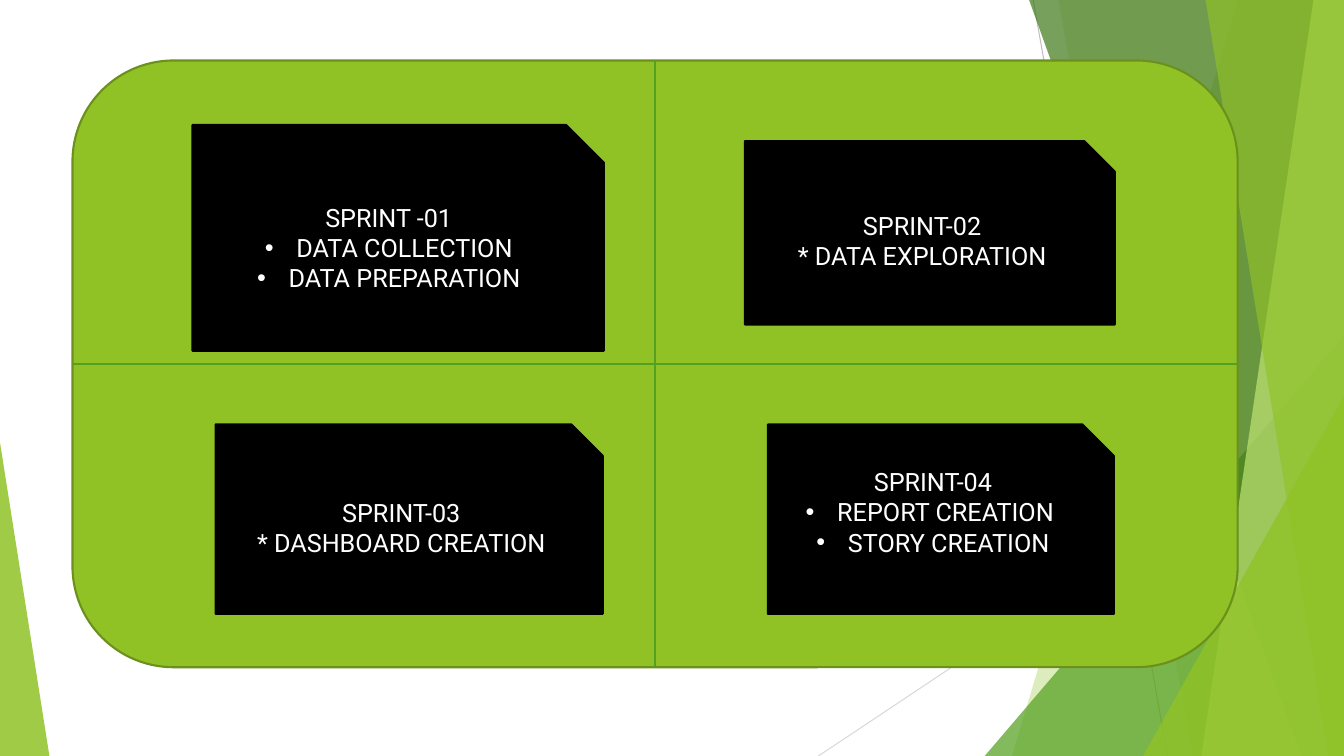
from dataclasses import dataclass

from lxml import etree
from pptx import Presentation
from pptx import util as u
from pptx.dml.color import RGBColor
from pptx.enum import shapes, text
from pptx.oxml import ns

Pt = u.Pt


@dataclass(frozen=True)
class Theme:
    lime: str = "90C226"
    pale_lime: str = "C0E474"
    green: str = "54A021"
    dark_green: str = "3F7819"
    olive: str = "6B901C"
    grey: str = "BFBFBF"
    light_grey: str = "D9D9D9"
    card: str = "000000"
    card_text: str = "FFFFFF"
    font: str = "Roboto"
    body_size: float = 18
    outline: float = 1.5
    divider: float = 1
    hairline: float = 0.75


@dataclass(frozen=True)
class Band:
    """A slanted strip from its left edge to the right edge of the slide."""
    top_x: float
    bottom_x: float
    color: str
    opacity: int


@dataclass(frozen=True)
class Wedge:
    left: float
    top: float
    width: float
    apex: float
    color: str
    opacity: int


@dataclass(frozen=True)
class Sprint:
    left: float
    top: float
    width: float
    height: float
    heading: str
    tasks: tuple[str, ...]
    bulleted: bool = False
    lift: float = 0  # extra space kept free below the text


THEME = Theme()
SLIDE_W, SLIDE_H = 960, 540
BOARD_LEFT, BOARD_TOP, BOARD_W, BOARD_H = 51.8, 43.2, 832.3, 433.4
BULLET_INDENT = 22.5

# Back to front
BACKDROP: tuple[Band | Wedge, ...] = (
    Band(884.2, 722.9, THEME.lime, 30),
    Band(756, 851.8, THEME.lime, 20),
    Wedge(703.4, 239.8, 256.6, 1, THEME.green, 72),
    Band(735.1, 929.5, THEME.dark_green, 70),
    Band(938.2, 858.2, THEME.pale_lime, 70),
    Band(861.1, 949, THEME.lime, 65),
    Wedge(816.5, 283, 143.5, 1, THEME.lime, 80),
    Wedge(0, 316.1, 35.3, 0, THEME.lime, 85),
)

SPRINTS = (
    Sprint(137.5, 89.3, 293.8, 161.3, "SPRINT -01",
           ("DATA COLLECTION", "DATA PREPARATION"), bulleted=True),
    Sprint(532.1, 100.8, 264.2, 131, "SPRINT-02", ("* DATA EXPLORATION",)),
    Sprint(154.1, 303.1, 276.5, 135.4, "SPRINT-03", ("* DASHBOARD CREATION",)),
    Sprint(548.6, 303.1, 247, 135.4, "SPRINT-04",
           ("REPORT CREATION ", "STORY CREATION"), bulleted=True, lift=21.6),
)


def paint(shape, color: str, opacity: int = 100, outline: str | None = None) -> None:
    shape.shadow.inherit = False
    shape.fill.solid()
    shape.fill.fore_color.rgb = RGBColor.from_string(color)
    if opacity < 100:
        tint = shape.fill._xPr.find(".//" + ns.qn("a:srgbClr"))
        etree.SubElement(tint, ns.qn("a:alpha"), val=str(opacity * 1000))
    if outline:
        shape.line.color.rgb = RGBColor.from_string(outline)
        shape.line.width = Pt(THEME.outline)
    else:
        shape.line.fill.background()


def draw_line(slide, x1: float, y1: float, x2: float, y2: float,
              color: str, width: float) -> None:
    line = slide.shapes.add_connector(
        shapes.MSO_CONNECTOR.STRAIGHT, Pt(x1), Pt(y1), Pt(x2), Pt(y2))
    line.line.color.rgb = RGBColor.from_string(color)
    line.line.width = Pt(width)
    etree.SubElement(line._element.spPr, ns.qn("a:effectLst"))


def draw_band(slide, band: Band) -> None:
    outline = slide.shapes.build_freeform(Pt(band.top_x), Pt(0))
    outline.add_line_segments([
        (Pt(SLIDE_W), Pt(0)),
        (Pt(SLIDE_W), Pt(SLIDE_H)),
        (Pt(band.bottom_x), Pt(SLIDE_H)),
    ], close=True)
    paint(outline.convert_to_shape(), band.color, band.opacity)


def draw_wedge(slide, wedge: Wedge) -> None:
    triangle = slide.shapes.add_shape(
        shapes.MSO_SHAPE.ISOSCELES_TRIANGLE, Pt(wedge.left), Pt(wedge.top),
        Pt(wedge.width), Pt(SLIDE_H - wedge.top))
    triangle.adjustments[0] = wedge.apex
    paint(triangle, wedge.color, wedge.opacity)


def draw_board(slide) -> None:
    board = slide.shapes.add_shape(
        shapes.MSO_SHAPE.ROUNDED_RECTANGLE, Pt(BOARD_LEFT), Pt(BOARD_TOP),
        Pt(BOARD_W), Pt(BOARD_H))
    paint(board, THEME.lime, outline=THEME.olive)
    middle_x, middle_y = BOARD_LEFT + BOARD_W / 2, BOARD_TOP + BOARD_H / 2
    draw_line(slide, middle_x, BOARD_TOP, middle_x, BOARD_TOP + BOARD_H,
              THEME.green, THEME.divider)
    draw_line(slide, BOARD_LEFT, middle_y, BOARD_LEFT + BOARD_W, middle_y,
              THEME.green, THEME.divider)


def add_bullet(paragraph) -> None:
    props = paragraph._p.get_or_add_pPr()
    props.set("marL", str(Pt(BULLET_INDENT)))
    props.set("indent", str(-Pt(BULLET_INDENT)))
    etree.SubElement(props, ns.qn("a:buFont"), typeface="Arial")
    etree.SubElement(props, ns.qn("a:buChar"), char="•")


def draw_sprint(slide, sprint: Sprint) -> None:
    card = slide.shapes.add_shape(
        shapes.MSO_SHAPE.SNIP_1_RECTANGLE, Pt(sprint.left), Pt(sprint.top),
        Pt(sprint.width), Pt(sprint.height))
    paint(card, THEME.card, outline=THEME.card)
    frame = card.text_frame
    frame.word_wrap = True
    frame.vertical_anchor = text.MSO_ANCHOR.MIDDLE
    frame.margin_bottom = Pt(3.6 + sprint.lift)
    for index, wording in enumerate((sprint.heading, *sprint.tasks)):
        paragraph = frame.add_paragraph() if index else frame.paragraphs[0]
        paragraph.alignment = text.PP_ALIGN.CENTER
        if index and sprint.bulleted:
            add_bullet(paragraph)
        run = paragraph.add_run()
        run.text = wording
        run.font.name = THEME.font
        run.font.size = Pt(THEME.body_size)
        run.font.color.rgb = RGBColor.from_string(THEME.card_text)


def main() -> None:
    deck = Presentation()
    deck.slide_width, deck.slide_height = Pt(SLIDE_W), Pt(SLIDE_H)
    slide = deck.slides.add_slide(deck.slide_layouts[6])

    # Backdrop of thin lines and translucent facets
    draw_line(slide, 738, 0, 834, SLIDE_H, THEME.grey, THEME.hairline)
    draw_line(slide, SLIDE_W, 290, 584.6, SLIDE_H, THEME.light_grey, THEME.hairline)
    for facet in BACKDROP:
        if isinstance(facet, Band):
            draw_band(slide, facet)
        else:
            draw_wedge(slide, facet)

    # Four-part board with one card per sprint
    draw_board(slide)
    for sprint in SPRINTS:
        draw_sprint(slide, sprint)

    deck.save("out.pptx")


if __name__ == "__main__":
    main()
